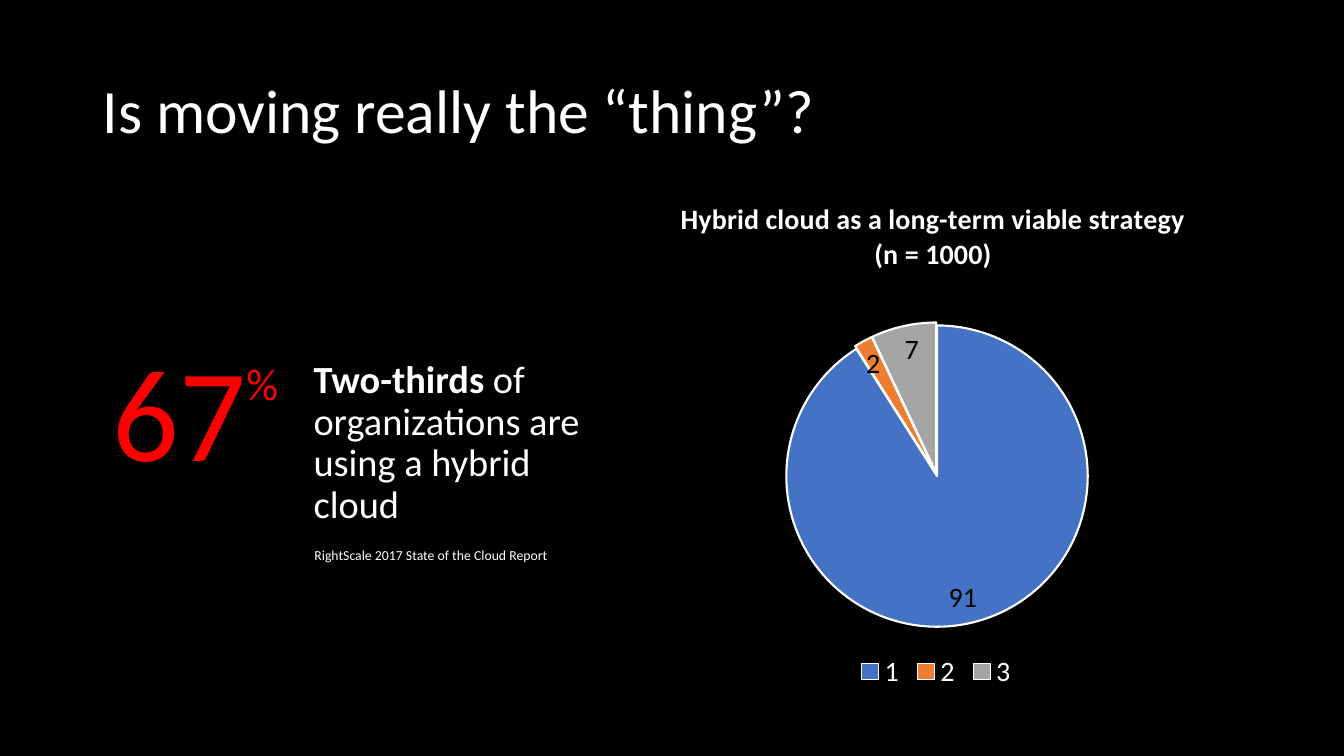
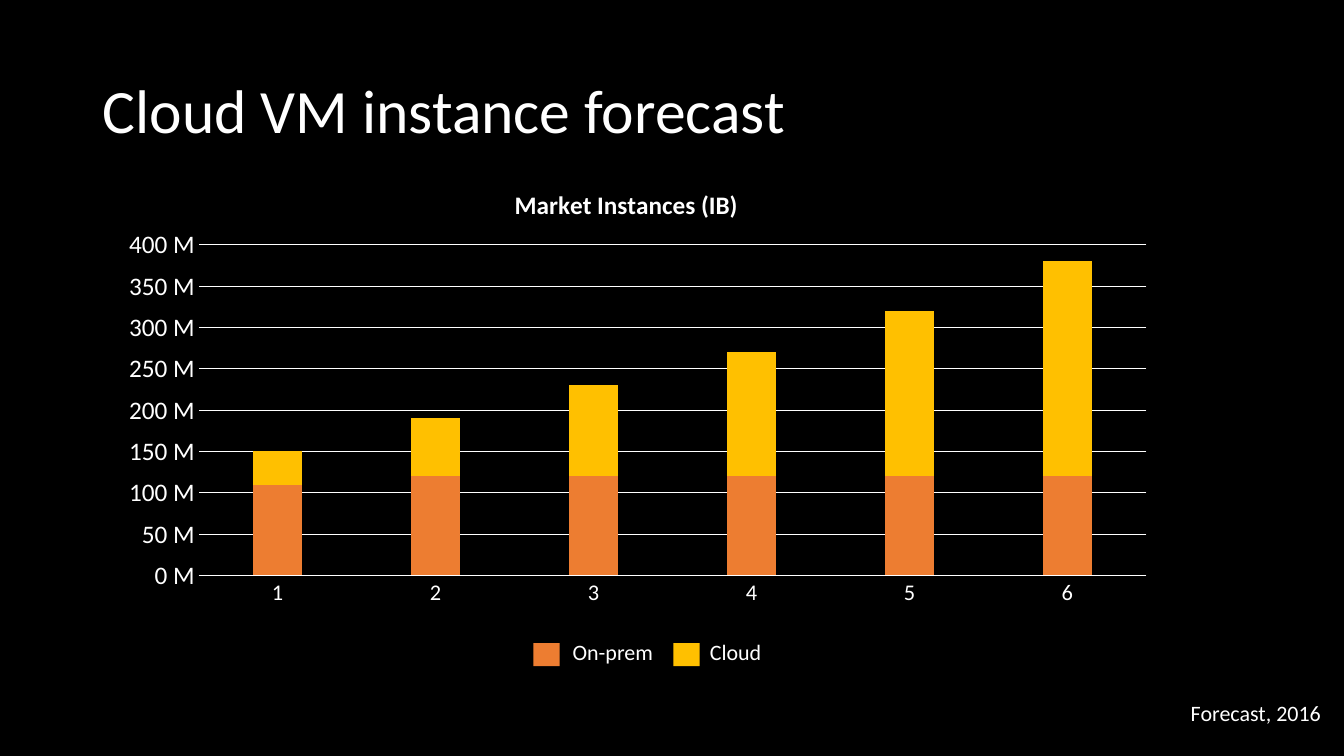
import dataclasses
import typing

import lxml.etree
import pptx
import pptx.chart.chart
import pptx.chart.data
import pptx.dml.color
import pptx.enum.chart
import pptx.enum.shapes
import pptx.enum.text
import pptx.oxml.ns
import pptx.slide
import pptx.util

PX = 9144
FONT = "Calibri"
COLORS = {
    "black": "000000",
    "white": "FFFFFF",
    "red": "FF0000",
    "blue": "4472C4",
    "orange": "ED7D31",
    "gray": "A5A5A5",
    "yellow": "FFC000",
}


@dataclasses.dataclass(frozen=True)
class Box:
    x: int
    y: int
    w: int
    h: int

    def emu(self) -> tuple[int, ...]:
        return tuple(v * PX for v in (self.x, self.y, self.w, self.h))


@dataclasses.dataclass(frozen=True)
class Span:
    text: str
    size: float
    color: str = "white"
    bold: bool = False
    baseline: int = 0


@dataclasses.dataclass(frozen=True)
class Label:
    box: Box
    spans: tuple[Span, ...]
    inset: tuple[int, int] = (20, 16)
    wrap: bool = True
    after: float = 5.9
    middle: bool = False


@dataclasses.dataclass(frozen=True)
class LegendItem:
    text: str
    color: str
    swatch_x: int
    text_x: int
    text_w: int


def rgb(name: str) -> pptx.dml.color.RGBColor:
    return pptx.dml.color.RGBColor.from_string(COLORS[name])


def style_font(font: typing.Any, size: float, color: str = "white", bold: bool = False) -> None:
    font.name = FONT
    font.size = pptx.util.Pt(size)
    font.bold = bold
    font.color.rgb = rgb(color)


def add_label(s: pptx.slide.Slide, label: Label) -> None:
    tf = s.shapes.add_textbox(*label.box.emu()).text_frame
    tf.word_wrap = label.wrap
    tf.margin_left = tf.margin_right = label.inset[0] * PX
    tf.margin_top = tf.margin_bottom = label.inset[1] * PX
    if label.middle:
        tf.vertical_anchor = pptx.enum.text.MSO_ANCHOR.MIDDLE
    else:
        tf.auto_size = pptx.enum.text.MSO_AUTO_SIZE.SHAPE_TO_FIT_TEXT
    p = tf.paragraphs[0]
    p.line_spacing = 0.9
    p.space_after = pptx.util.Pt(label.after)
    for span in label.spans:
        r = p.add_run()
        r.text = span.text
        style_font(r.font, span.size, span.color, span.bold)
        if span.baseline:
            r._r.get_or_add_rPr().set("baseline", str(span.baseline * 1000))


def add_title(s: pptx.slide.Slide, text: str) -> None:
    add_label(s, Label(Box(92, 40, 1150, 145), (Span(text, 44),), (10, 5), after=0, middle=True))


def set_layout(parent: typing.Any, index: int, **values: float) -> None:
    qn = pptx.oxml.ns.qn
    for old in parent.findall(qn("c:layout")):
        parent.remove(old)
    layout = lxml.etree.Element(qn("c:layout"))
    parent.insert(index, layout)
    manual = lxml.etree.SubElement(layout, qn("c:manualLayout"))
    settings = {"xMode": "edge", "yMode": "edge", **values}
    if "w" in values:
        settings = {"layoutTarget": "inner", **settings}
    for tag, value in settings.items():
        lxml.etree.SubElement(manual, qn(f"c:{tag}")).set("val", str(value))


def add_chart(
    s: pptx.slide.Slide,
    kind: pptx.enum.chart.XL_CHART_TYPE,
    box: Box,
    series: dict[str, tuple[int, ...]],
    title: str,
    size: float,
    title_at: tuple[int, int],
    plot: Box,
) -> pptx.chart.chart.Chart:
    data = pptx.chart.data.CategoryChartData()
    count = len(next(iter(series.values())))
    data.categories = [str(i + 1) for i in range(count)]
    for name, values in series.items():
        data.add_series(name, values)
    chart = s.shapes.add_chart(kind, *box.emu(), data).chart
    style_font(chart.font, size)
    chart.has_title = True
    tf = chart.chart_title.text_frame
    tf.text = title
    for p in tf.paragraphs:
        for r in p.runs:
            style_font(r.font, size, bold=True)
    title_x, title_y = title_at
    set_layout(
        chart.chart_title._element, 1,
        x=(title_x - box.x) / box.w, y=(title_y - box.y) / box.h,
    )
    set_layout(
        chart.plots[0]._element.getparent(), 0,
        x=(plot.x - box.x) / box.w, y=(plot.y - box.y) / box.h,
        w=plot.w / box.w, h=plot.h / box.h,
    )
    return chart


def add_strategy_pie(s: pptx.slide.Slide) -> None:
    chart = add_chart(
        s, pptx.enum.chart.XL_CHART_TYPE.PIE, Box(581, 181, 695, 508),
        {"Series 1": (91, 2, 7)},
        "Hybrid cloud as a long-term viable strategy\n(n = 1000)", 20,
        (672, 196), Box(778, 320, 302, 302),
    )
    chart.has_legend = True
    chart.legend.position = pptx.enum.chart.XL_LEGEND_POSITION.BOTTOM
    chart.legend.include_in_layout = False
    style_font(chart.legend.font, 20)
    plot = chart.plots[0]
    plot.vary_by_categories = True
    plot.has_data_labels = True
    plot.data_labels.show_value = True
    plot.data_labels.show_percentage = False
    plot.data_labels.position = pptx.enum.chart.XL_LABEL_POSITION.INSIDE_END
    style_font(plot.data_labels.font, 20, "black")
    ser = plot.series[0]
    for i, color in enumerate(("blue", "orange", "gray")):
        fmt = ser.points[i].format
        fmt.fill.solid()
        fmt.fill.fore_color.rgb = rgb(color)
        fmt.line.color.rgb = rgb("white")
        fmt.line.width = pptx.util.Pt(1.5)
    explosion = lxml.etree.Element(pptx.oxml.ns.qn("c:explosion"))
    explosion.set("val", "1")
    ser._element.find(pptx.oxml.ns.qn("c:dPt")).addprevious(explosion)


def add_forecast_columns(s: pptx.slide.Slide) -> None:
    chart = add_chart(
        s, pptx.enum.chart.XL_CHART_TYPE.COLUMN_STACKED, Box(98, 166, 1046, 507),
        {
            "Series 1": (110, 120, 120, 120, 120, 120),
            "Series 2": (0, 0, 10, 20, 30, 50),
            "Series 3": (40, 70, 100, 130, 170, 210),
        },
        "Market Instances (IB)", 18, (506, 181), Box(197, 243, 940, 328),
    )
    chart.has_legend = False
    plot = chart.plots[0]
    plot.vary_by_categories = False
    plot.gap_width = 219
    plot.overlap = 100
    for ser, color in zip(plot.series, ("orange", "yellow", "yellow")):
        ser.format.fill.solid()
        ser.format.fill.fore_color.rgb = rgb(color)
    cat, val = chart.category_axis, chart.value_axis
    for axis, size in ((cat, 16), (val, 18)):
        axis.major_tick_mark = axis.minor_tick_mark = pptx.enum.chart.XL_TICK_MARK.NONE
        style_font(axis.tick_labels.font, size)
    val.minimum_scale, val.maximum_scale, val.major_unit = 0, 400, 50
    val.tick_labels.number_format = '0\\ "M"'
    val.tick_labels.number_format_is_linked = False
    val.format.line.fill.background()
    val.has_major_gridlines = True
    for line in (cat.format.line, val.major_gridlines.format.line):
        line.color.rgb = rgb("white")
        line.width = pptx.util.Pt(0.75)


def add_legend_item(s: pptx.slide.Slide, item: LegendItem) -> None:
    sp = s.shapes.add_shape(
        pptx.enum.shapes.MSO_SHAPE.RECTANGLE, *Box(item.swatch_x, 638, 26, 23).emu()
    )
    sp.shadow.inherit = False
    sp.fill.solid()
    sp.fill.fore_color.rgb = rgb(item.color)
    sp.line.fill.background()
    add_label(s, Label(Box(item.text_x, 625, item.text_w, 55), (Span(item.text, 15.7),), wrap=False))


def build_hybrid(s: pptx.slide.Slide) -> None:
    add_title(s, "Is moving really the “thing”?")
    for label in (
        Label(Box(92, 329, 249, 174), (Span("67", 94.1, "red"), Span("%", 54.9, "red", baseline=80))),
        Label(
            Box(291, 342, 319, 198),
            (Span("Two-thirds", 27.4, bold=True),
             Span(" of organizations are using a hybrid cloud", 27.4)),
        ),
        Label(
            Box(302, 539, 270, 25),
            (Span("RightScale 2017 State of the Cloud Report", 9.8),), (10, 5),
        ),
    ):
        add_label(s, label)
    add_strategy_pie(s)


def build_forecast(s: pptx.slide.Slide) -> None:
    add_title(s, "Cloud VM instance forecast")
    add_forecast_columns(s)
    add_label(s, Label(Box(1161, 685, 172, 55), (Span("Forecast, 2016", 15.7),), wrap=False))
    for item in (
        LegendItem("On-prem", "orange", 529, 548, 120),
        LegendItem("Cloud", "yellow", 668, 684, 94),
    ):
        add_legend_item(s, item)


def main() -> None:
    prs = pptx.Presentation()
    prs.slide_width, prs.slide_height = 1333 * PX, 750 * PX
    fill = prs.slide_master.background.fill
    fill.solid()
    fill.fore_color.rgb = rgb("black")
    for build in (build_hybrid, build_forecast):
        build(prs.slides.add_slide(prs.slide_layouts[6]))
    prs.save("out.pptx")


if __name__ == "__main__":
    main()
